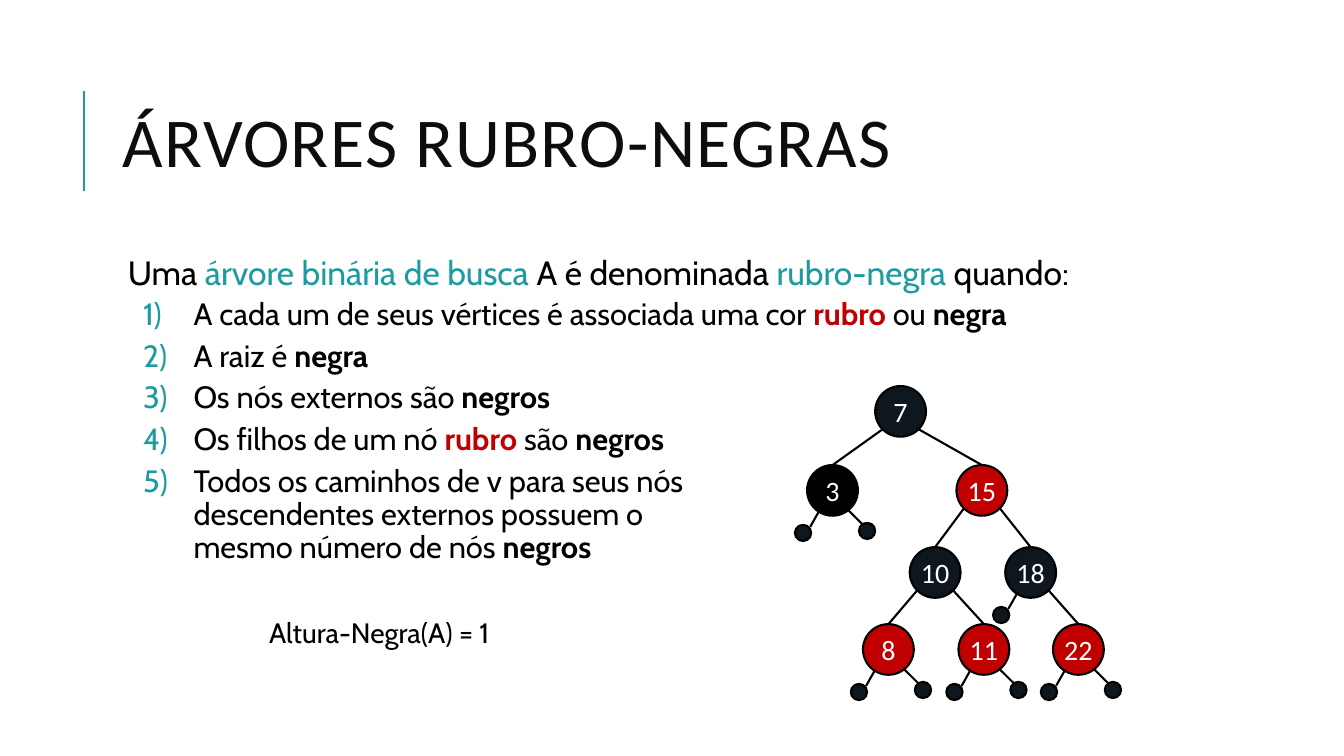
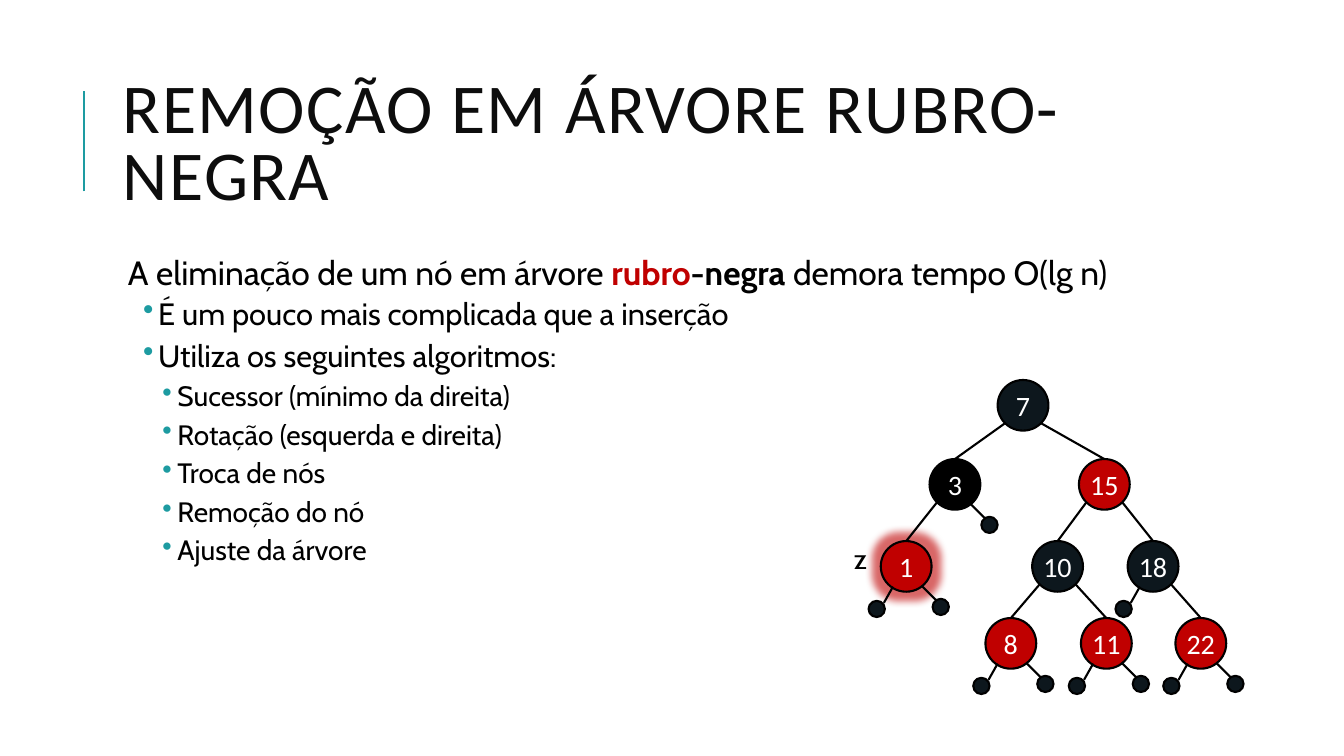
from dataclasses import dataclass

from lxml import etree
from pptx import Presentation
from pptx import util as u
from pptx.dml import color as c
from pptx.enum import shapes as s, text as t
from pptx.oxml import ns


@dataclass(frozen=True)
class Theme:
    accent: str = "1D9BA1"
    red: str = "C00000"
    night: str = "0D171D"
    black: str = "000000"
    heading: str = "0D0D0D"
    white: str = "FFFFFF"
    title_font: str = "Calibri"
    body_font: str = "Cabin"
    title_size: int = 50
    body_sizes: tuple = (24, 22, 20)
    label_size: int = 20
    line_width: float = 1.5


@dataclass(frozen=True)
class Box:
    left: int
    top: int
    width: int
    height: int

    def at(self, column, row):
        return int(self.left + column * self.width), int(self.top + row * self.height)

    def inner(self, column, row, width, height):
        return Box(*self.at(column, row), int(width * self.width), int(height * self.height))

    def percent(self, *shares):
        return self.inner(*(share / 100 for share in shares))

    def frame(self):
        return self.left, self.top, self.width, self.height


@dataclass(frozen=True)
class Node:
    column: float
    row: float
    fill: str
    parent: str = ""
    side: str = ""
    glow: bool = False


THEME = Theme()
PAGE = Box(0, 0, u.Inches(13.33), u.Inches(7.5))
LEVELS = (0, 1.56, 3.18, 4.7)
TREE = {
    "7": Node(0, LEVELS[0], THEME.night),
    "3": Node(-1.34, LEVELS[1], THEME.black, "7", "left"),
    "15": Node(1.6, LEVELS[1], THEME.red, "7", "right"),
    "10": Node(0.68, LEVELS[2], THEME.night, "15", "left"),
    "18": Node(2.56, LEVELS[2], THEME.night, "15", "right"),
    "8": Node(-0.24, LEVELS[3], THEME.red, "10", "left"),
    "11": Node(1.64, LEVELS[3], THEME.red, "10", "right"),
    "22": Node(3.5, LEVELS[3], THEME.red, "18", "right"),
}
EDGE_START = {"left": (0.15, 0.85), "right": (0.85, 0.85)}
LEAF_START = {"left": (0.24, 0.9), "right": (0.8, 0.88)}
LEAF_END = {"left": (0.06, 1.22), "right": (1.1, 1.18)}
LEAF_DOT = {"left": (-0.24, 1.18), "right": (1.02, 1.14)}
DOT_SIZE = 0.32
BULLET_INDENTS = {1: (0.4, -0.15), 2: (0.59, -0.15)}
NUMBER_INDENT = (0.75, -0.5)


def rgb(value):
    return c.RGBColor.from_string(value)


def style(font, face, size, color, bold=False):
    font.name, font.size, font.bold = face, u.Pt(size), bold
    font.color.rgb = rgb(color)


def child(parent, tag, **attributes):
    return etree.SubElement(parent, ns.qn(tag), attributes)


def add_line(page, start, end, color):
    line = page.shapes.add_connector(s.MSO_CONNECTOR.STRAIGHT, *start, *end)
    line.line.color.rgb, line.line.width = rgb(color), u.Pt(THEME.line_width)
    child(line._element.spPr, "a:effectLst")
    return line


def add_circle(page, box, fill):
    circle = page.shapes.add_shape(s.MSO_SHAPE.OVAL, *box.frame())
    circle.shadow.inherit = False
    circle.fill.solid()
    circle.fill.fore_color.rgb = rgb(fill)
    circle.line.color.rgb, circle.line.width = rgb(THEME.black), u.Pt(THEME.line_width)
    return circle


def add_glow(shape):
    effects = shape._element.spPr.find(ns.qn("a:effectLst"))
    glow = child(effects, "a:glow", rad=str(u.Pt(11)))
    tint = child(glow, "a:srgbClr", val=THEME.red)
    child(tint, "a:alpha", val="60000")


def set_margins(frame, size):
    frame.margin_left = frame.margin_right = frame.margin_top = frame.margin_bottom = size


def add_title(page, box, title):
    add_line(page, PAGE.at(0.0623, 0.2533), PAGE.at(0.0623, 0.12), THEME.accent)
    frame = page.shapes.add_textbox(*box.frame()).text_frame
    frame.word_wrap = True
    frame.vertical_anchor = t.MSO_ANCHOR.MIDDLE
    frame.text = title
    para = frame.paragraphs[0]
    para.line_spacing = 0.8
    span = para.runs[0]
    style(span.font, THEME.title_font, THEME.title_size, THEME.heading)
    span._r.get_or_add_rPr().set("spc", "100")


def set_bullet(para, indent, numbered):
    props = para._p.get_or_add_pPr()
    margin, hanging = indent
    props.set("marL", str(u.Inches(margin)))
    props.set("indent", str(u.Inches(hanging)))
    child(child(props, "a:buClr"), "a:srgbClr", val=THEME.accent)
    if numbered:
        child(props, "a:buAutoNum", type="arabicParenR")
    else:
        child(props, "a:buChar", char="•")


def add_spans(para, spans, size):
    for words, color, bold in spans:
        for index, line in enumerate(words.split("\n")):
            if index:
                para.add_line_break()
            span = para.add_run()
            span.text = line
            style(span.font, THEME.body_font, size, color, bold)


def add_body(page, box, items, numbered):
    frame = page.shapes.add_textbox(*box.frame()).text_frame
    frame.word_wrap = True
    set_margins(frame, u.Inches(0.05))
    for index, (level, *spans) in enumerate(items):
        para = frame.add_paragraph() if index else frame.paragraphs[0]
        para.level = level
        if level:
            set_bullet(para, NUMBER_INDENT if numbered else BULLET_INDENTS[level], numbered)
            para.space_before, para.space_after = u.Pt(2), u.Pt(4)
        else:
            para._p.get_or_add_pPr().set("marL", str(u.Inches(0.1)))
            para.space_after = u.Pt(2)
        para.line_spacing = 0.9
        size = THEME.body_sizes[level]
        style(para.font, THEME.body_font, size, THEME.black)
        add_spans(para, spans, size)


def add_label(page, box, label):
    frame = page.shapes.add_textbox(*box.frame()).text_frame
    frame.word_wrap = False
    frame.auto_size = t.MSO_AUTO_SIZE.SHAPE_TO_FIT_TEXT
    frame.text = label
    style(frame.paragraphs[0].runs[0].font, THEME.body_font, THEME.label_size, THEME.black)


def add_node(page, box, key, node):
    circle = add_circle(page, box, node.fill)
    if node.glow:
        add_glow(circle)
    frame = circle.text_frame
    set_margins(frame, 0)
    frame.word_wrap = False
    frame.vertical_anchor = t.MSO_ANCHOR.MIDDLE
    frame.text = key
    para = frame.paragraphs[0]
    para.alignment = t.PP_ALIGN.CENTER
    style(para.runs[0].font, THEME.title_font, THEME.label_size, THEME.white)
    return circle


def add_leaf(page, box, side):
    add_line(page, box.at(*LEAF_START[side]), box.at(*LEAF_END[side]), THEME.black)
    add_circle(page, box.inner(*LEAF_DOT[side], DOT_SIZE, DOT_SIZE), THEME.night)


def add_tree(page, root_box, tree):
    boxes = {key: root_box.inner(node.column, node.row, 1, 1) for key, node in tree.items()}
    circles = {key: add_node(page, boxes[key], key, node) for key, node in tree.items()}
    for key, node in tree.items():
        if node.parent:
            start = boxes[node.parent].at(*EDGE_START[node.side])
            edge = add_line(page, start, boxes[key].at(0.5, 0), THEME.black)
            edge.end_connect(circles[key], 0)
        taken = {other.side for other in tree.values() if other.parent == key}
        for side in LEAF_DOT:
            if side not in taken:
                add_leaf(page, boxes[key], side)


def add_page(deck, title, items, numbered, root_box, tree, label, label_box):
    page = deck.slides.add_slide(deck.slide_layouts[6])
    add_title(page, PAGE.percent(8.4, 8.53, 79.75, 21.87), title)
    add_body(page, PAGE.percent(8.4, 33.33, 79.75, 58.67), items, numbered)
    add_tree(page, root_box, tree)
    add_label(page, label_box, label)


def plain(words):
    return words, THEME.black, False


def bold(words):
    return words, THEME.black, True


def teal(words):
    return words, THEME.accent, False


def red(words):
    return words, THEME.red, True


def main():
    deck = Presentation()
    deck.slide_width, deck.slide_height = PAGE.width, PAGE.height
    add_page(
        deck,
        "ÁRVORES RUBRO-NEGRAS",
        [
            (0, plain("Uma "), teal("árvore binária de busca"), plain(" A é denominada "),
             teal("rubro-negra"), plain(" quando:")),
            (1, plain("A cada um de seus vértices é associada uma cor "), red("rubro"),
             plain(" ou "), bold("negra")),
            (1, plain("A raiz é "), bold("negra")),
            (1, plain("Os nós externos são "), bold("negros")),
            (1, plain("Os filhos de um nó "), red("rubro"), plain(" são "), bold("negros")),
            (1, plain("Todos os caminhos de v para seus nós\ndescendentes externos possuem o\n"
                      "mesmo número de nós "), bold("negros")),
        ],
        True,
        PAGE.percent(65.12, 51.07, 3.78, 6.7),
        TREE,
        "Altura-Negra(A) = 1",
        PAGE.percent(19.28, 80.8, 18.83, 5.87),
    )
    add_page(
        deck,
        "REMOÇÃO EM ÁRVORE RUBRO-NEGRA",
        [
            (0, plain("A eliminação de um nó em árvore "), red("rubro"), bold("-negra"),
             plain(" demora tempo O(lg n)")),
            (1, plain("É um pouco mais complicada que a inserção")),
            (1, plain("Utiliza os seguintes algoritmos:")),
            (2, plain("Sucessor (mínimo da direita)")),
            (2, plain("Rotação (esquerda e direita)")),
            (2, plain("Troca de nós")),
            (2, plain("Remoção do nó")),
            (2, plain("Ajuste da árvore")),
        ],
        False,
        PAGE.percent(74.23, 50.27, 3.78, 6.7),
        {**TREE, "1": Node(-2.3, LEVELS[2], THEME.red, "3", "left", glow=True)},
        "z",
        PAGE.percent(62.79, 70.93, 2.4, 5.87),
    )
    deck.save("out.pptx")


if __name__ == "__main__":
    main()
